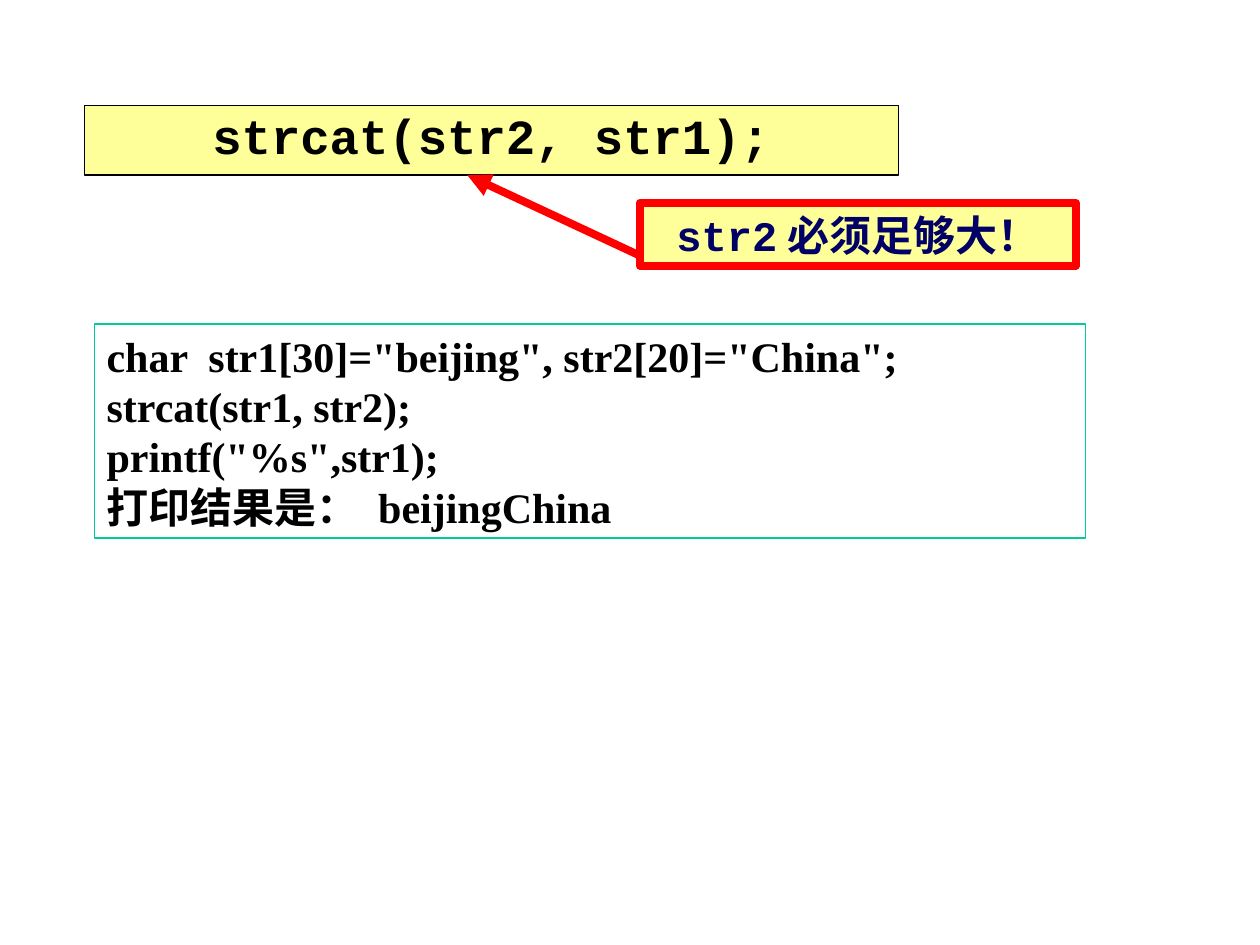
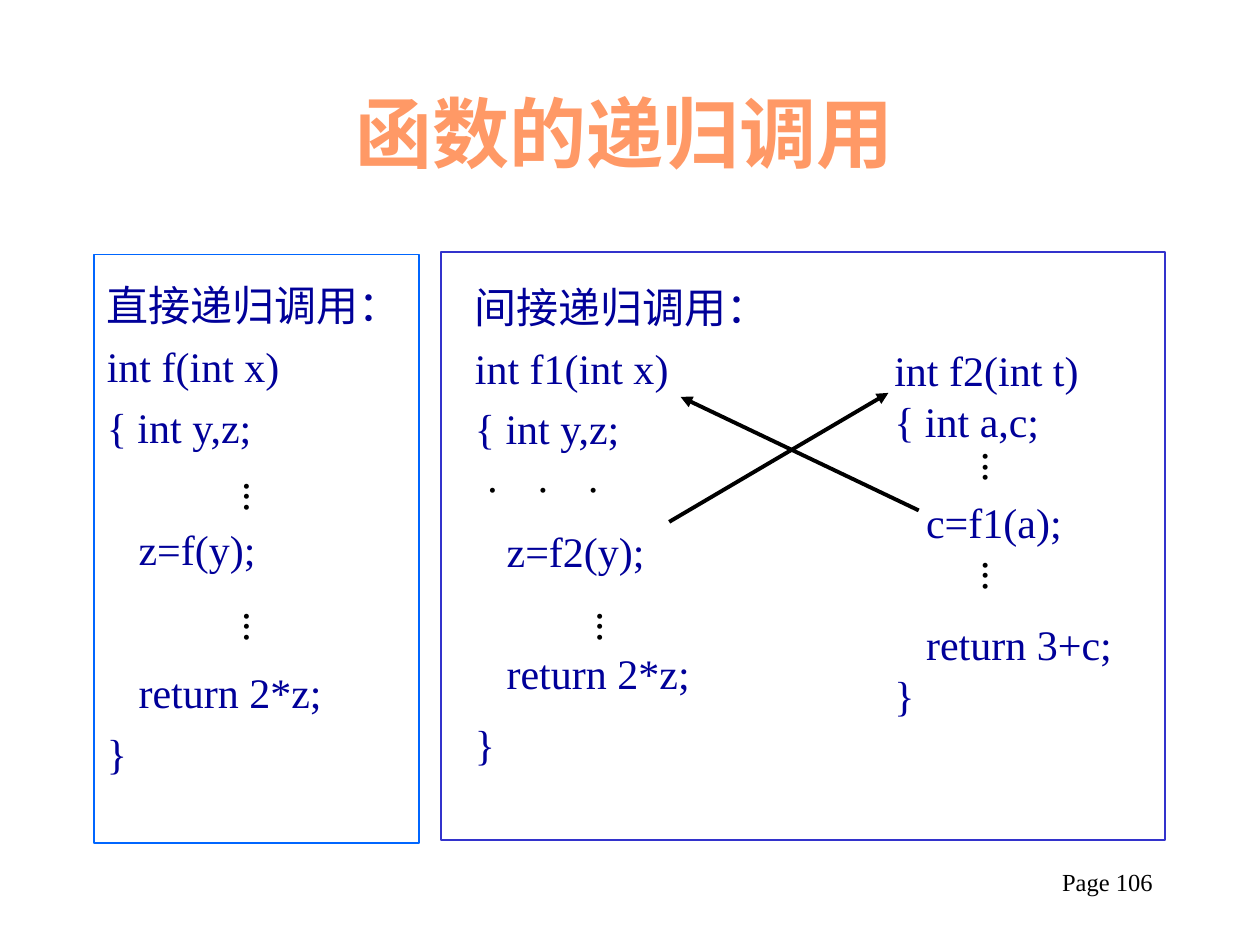
from dataclasses import dataclass

from lxml.etree import SubElement
from pptx import Presentation
from pptx.dml.color import RGBColor
from pptx.enum.shapes import MSO_CONNECTOR as Wire, MSO_SHAPE as Shape
from pptx.enum.text import MSO_ANCHOR as Anchor, MSO_AUTO_SIZE as Fit, PP_ALIGN as Align
from pptx.oxml.ns import qn
from pptx.util import Cm, Pt


@dataclass(frozen=True)
class Type:
    size: int
    color: str
    bold: bool = False
    font: str = "Times New Roman"


@dataclass(frozen=True)
class Theme:
    yellow: str = "FFFF99"
    white: str = "FFFFFF"
    black: str = "000000"
    red: str = "FF0000"
    green: str = "00CC99"
    blue: str = "0066FF"
    indigo: str = "3333CC"
    title: Type = Type(44, "FF9966", True)
    call: Type = Type(28, "000000", True, "Courier New")
    name: Type = Type(24, "000066", True, "Courier New")
    warning: Type = Type(24, "000066", True)
    sample: Type = Type(24, "000000", True)
    code: Type = Type(24, "000099")
    dots: Type = Type(24, "000000")
    page: Type = Type(14, "000000")


@dataclass(frozen=True)
class Line:
    text: str
    gap: float = 0
    indent: float = 0


STEP = 0.64  # indent of a statement inside braces, cm


class Deck:
    def __init__(self, theme):
        self.theme = theme
        self.file = Presentation()
        self.file.slide_width, self.file.slide_height = Cm(25.4), Cm(19.05)
        self.slide = None

    def start(self, layout):
        self.slide = self.file.slides.add_slide(self.file.slide_layouts[layout])

    def dress(self, run, kind):
        font = run.font
        font.name, font.size, font.bold = kind.font, Pt(kind.size), kind.bold
        font.color.rgb = RGBColor.from_string(kind.color)

    def fill(self, shape, lines, kind, align=Align.LEFT):
        """Put styled lines into a shape and return its text frame."""
        frame = shape.text_frame
        frame.word_wrap = True
        frame.text = "\n".join(line.text for line in lines)
        for para, line in zip(frame.paragraphs, lines):
            para.alignment = align
            para.space_before, para.space_after = Pt(line.gap), Pt(0)
            props = para._p.get_or_add_pPr()
            props.set("marL", str(Cm(line.indent)))
            props.set("indent", "0")
            SubElement(props, qn("a:buNone"))
            for run in para.runs:
                self.dress(run, kind)
        return frame

    def rect(self, box, edge, width, color=None):
        shape = self.slide.shapes.add_shape(Shape.RECTANGLE, *map(Cm, box))
        shape.shadow.inherit = False
        shape.line.color.rgb = RGBColor.from_string(edge)
        shape.line.width = Pt(width)
        if color:
            shape.fill.solid()
            shape.fill.fore_color.rgb = RGBColor.from_string(color)
        else:
            shape.fill.background()
        shape.text_frame.vertical_anchor = Anchor.TOP
        return shape

    def panel(self, box, edge):
        """Add a frame behind the placeholders."""
        shape = self.rect(box, edge, 1, self.theme.white)
        self.slide.shapes._spTree.insert(2, shape._element)

    def label(self, box, lines, kind, align=Align.LEFT):
        shape = self.slide.shapes.add_textbox(*map(Cm, box))
        return self.fill(shape, lines, kind, align)

    def title(self, box, text):
        shape = self.slide.shapes.title
        self.place(shape, box)
        frame = self.fill(shape, [Line(text)], self.theme.title, Align.CENTER)
        frame.vertical_anchor = Anchor.MIDDLE

    def body(self, index, box, lines):
        shape = self.slide.placeholders[index]
        self.place(shape, box)
        frame = self.fill(shape, lines, self.theme.code)
        frame.auto_size, frame.vertical_anchor = Fit.NONE, Anchor.TOP

    def place(self, shape, box):
        shape.left, shape.top, shape.width, shape.height = map(Cm, box)

    def dots(self, left, top, width=1.52, height=1.27):
        """Add an ellipsis set in vertical text."""
        frame = self.label((left, top, width, height), [Line("...")], self.theme.dots)
        frame.margin_left = frame.margin_right = Cm(0.13)
        frame.margin_top = frame.margin_bottom = Cm(0.25)
        frame.auto_size = Fit.SHAPE_TO_FIT_TEXT
        frame._txBody.bodyPr.set("vert", "eaVert")

    def arrow(self, start, end, color, width):
        link = self.slide.shapes.add_connector(Wire.STRAIGHT, *map(Cm, start + end))
        link.line.color.rgb = RGBColor.from_string(color)
        link.line.width = Pt(width)
        SubElement(link.line._get_or_add_ln(), qn("a:tailEnd"), type="triangle")
        SubElement(link._element.spPr, qn("a:effectLst"))
        return link


def join(deck):
    """Build the slide on strcat."""
    look = deck.theme
    deck.start(6)
    call = deck.rect((1.7, 2.13, 16.41, 1.4), look.black, 0.75, look.yellow)
    frame = deck.fill(call, [Line("strcat(str2, str1);", 7)], look.call, Align.CENTER)
    frame.paragraphs[0].line_spacing = 0.9

    arrow = deck.arrow((12.85, 5.13), (9.42, 3.53), look.red, 4.5)
    note = deck.rect((12.9, 4.09, 8.79, 1.27), look.red, 4.5, look.yellow)
    frame = deck.fill(note, [Line("str2", 15)], look.name, Align.CENTER)
    frame.auto_size = Fit.SHAPE_TO_FIT_TEXT
    run = frame.paragraphs[0].add_run()
    run.text = "必须足够大！"
    deck.dress(run, look.warning)
    deck.slide.shapes.add_group_shape([arrow, note])

    sample = deck.rect((1.9, 6.53, 19.99, 4.32), look.green, 0.75)
    lines = ['char  str1[30]="beijing", str2[20]="China";', "strcat(str1, str2);",
             'printf("%s",str1);', "打印结果是： beijingChina"]
    frame = deck.fill(sample, [Line(text) for text in lines], look.sample)
    frame.auto_size = Fit.SHAPE_TO_FIT_TEXT


def recur(deck):
    """Build the slide on recursive calls."""
    look = deck.theme
    deck.start(3)
    deck.panel((1.9, 5.13, 6.55, 11.86), look.blue)
    deck.panel((8.89, 5.08, 14.6, 11.86), look.indigo)
    deck.title((1.9, 1.07, 21.39, 3.18), "函数的递归调用")
    deck.body(1, (1.9, 5.51, 7.39, 11.43), [
        Line("直接递归调用：", 6), Line("int f(int x)", 6), Line("{ int y,z;", 6),
        Line("z=f(y);", 41, STEP), Line("return 2*z;", 53, STEP), Line("}", 6)])
    deck.body(2, (9.32, 5.54, 7.8, 11.43), [
        Line("间接递归调用：", 6), Line("int f1(int x)", 6), Line("{ int y,z;", 6),
        Line("z=f2(y);", 41, STEP), Line("return 2*z;", 41, STEP), Line("}", 12)])
    deck.label((17.78, 6.83, 5.92, 8.89), [
        Line("int f2(int t)"), Line("{ int a,c;"),
        Line("c=f1(a);", 29, STEP), Line("return 3+c;", 41, STEP), Line("}")], look.code)

    for spot in ((4.39, 9.45), (4.39, 12.07), (19.28, 11.05), (19.28, 8.86), (11.51, 12.07)):
        deck.dots(*spot)
    deck.dots(10.36, 9.53, 2.54, 0.79)
    deck.arrow((13.49, 10.52), (17.91, 7.92), look.black, 2.25)
    deck.arrow((18.52, 10.29), (13.72, 8), look.black, 2.25)
    deck.label((18.21, 17.35, 5.28, 1.27), [Line("Page 106")], look.page, Align.RIGHT)


def main():
    deck = Deck(Theme())
    join(deck)
    recur(deck)
    deck.file.save("out.pptx")


if __name__ == "__main__":
    main()
